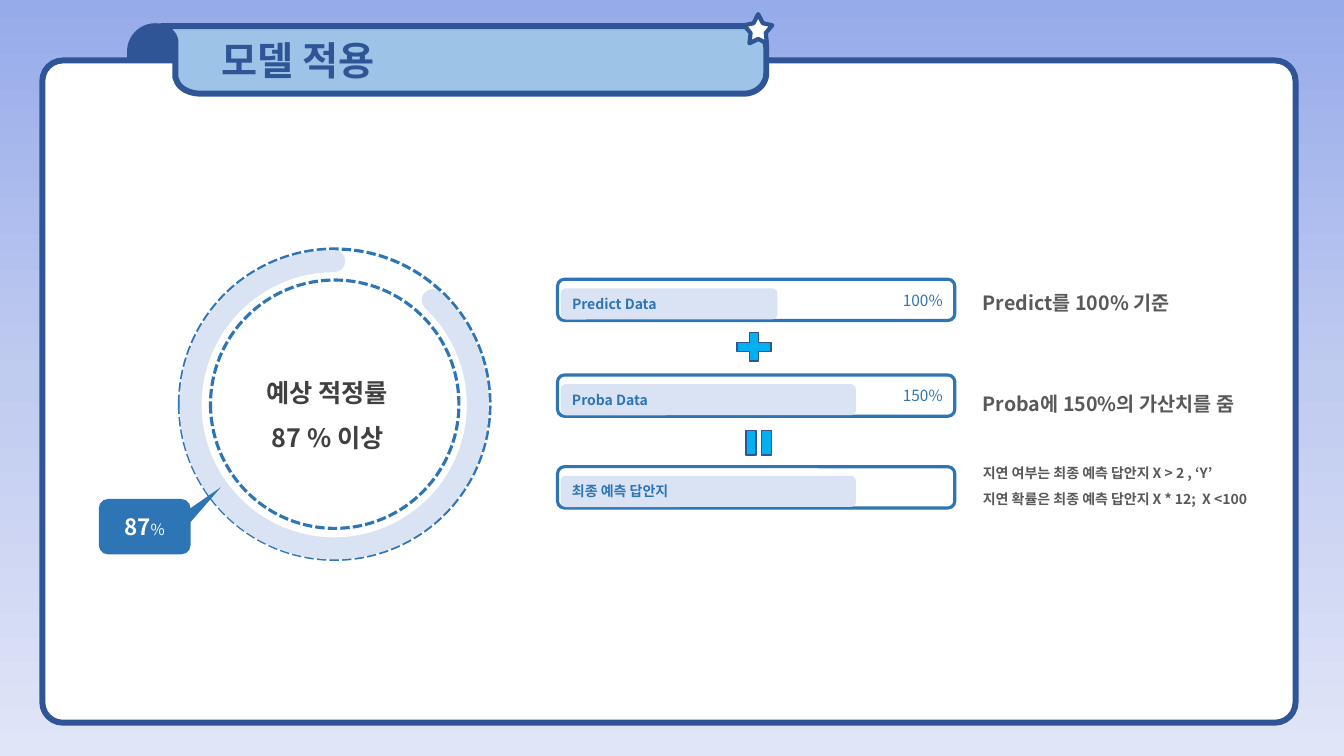
import copy
from dataclasses import dataclass

import lxml.etree
import pptx
import pptx.dml.color
import pptx.enum.dml
import pptx.enum.shapes
import pptx.enum.text
import pptx.oxml.ns
import pptx.util

Inches = pptx.util.Inches
SHAPE = pptx.enum.shapes.MSO_SHAPE
ALIGN = pptx.enum.text.PP_ALIGN
ANCHOR = pptx.enum.text.MSO_ANCHOR
FIT = pptx.enum.text.MSO_AUTO_SIZE


@dataclass(frozen=True)
class Theme:
    """Hold the colours, font and type sizes of the slide."""
    font: str = "Noto Sans CJK KR"
    sky: tuple = ((0, "96ABEA"), (0.5, "C0CBF0"), (1, "E0E5F7"))
    navy: str = "2F5597"
    ribbon: str = "9DC3E6"
    blue: str = "2E75B6"
    pale: str = "DAE3F3"
    cyan: str = "00B0F0"
    sign_edge: str = "325491"
    white: str = "FFFFFF"
    dark: str = "404040"
    grey: str = "595959"
    title: float = 28
    headline: float = 18
    callout: float = 16
    note: float = 14
    value: float = 11
    label: float = 10
    frame_line: float = 4.25
    line: float = 2.25


THEME = Theme()


def rgb(colour):
    """Turn a hex string into a colour."""
    return pptx.dml.color.RGBColor.from_string(colour)


def paint(shape, fill=None, line=None, width=THEME.line):
    """Set the fill and outline of a shape and remove its shadow."""
    shape.shadow.inherit = False
    if fill:
        shape.fill.solid()
        shape.fill.fore_color.rgb = rgb(fill)
    else:
        shape.fill.background()
    if line:
        shape.line.color.rgb = rgb(line)
        shape.line.width = pptx.util.Pt(width)
    else:
        shape.line.fill.background()
    return shape


def add_preset(slide, kind, box, adjust=(), **style):
    """Add a painted preset shape."""
    shape = slide.shapes.add_shape(kind, *map(Inches, box))
    for index, amount in enumerate(adjust):
        shape.adjustments[index] = amount
    return paint(shape, **style)


def write(shape, paragraphs, align=ALIGN.LEFT, spacing=None, level=0):
    """Write paragraphs of (text, size, colour, bold) runs into a shape."""
    frame = shape.text_frame
    for index, runs in enumerate(paragraphs):
        paragraph = frame.paragraphs[0] if index == 0 else frame.add_paragraph()
        paragraph.alignment = align
        paragraph.level = level
        if spacing:
            paragraph.line_spacing = spacing
        for text, size, colour, bold in runs:
            run = paragraph.add_run()
            run.text = text
            run.font.name = THEME.font
            run.font.size = pptx.util.Pt(size)
            run.font.bold = bold
            run.font.color.rgb = rgb(colour)
            east_asian = lxml.etree.SubElement(
                run.font._element, pptx.oxml.ns.qn("a:ea"))
            east_asian.set("typeface", THEME.font)


def add_text(slide, box, lines, size, colour, wrap=True):
    """Add a bold text box with one paragraph per line."""
    textbox = slide.shapes.add_textbox(*map(Inches, box))
    textbox.text_frame.word_wrap = wrap
    textbox.text_frame.auto_size = FIT.SHAPE_TO_FIT_TEXT
    write(textbox, [[(line, size, colour, True)] for line in lines], spacing=1.5)


def curve(start, control_a, control_b, end, steps=10):
    """Return points along a cubic curve, without its start."""
    points = []
    for step in range(1, steps + 1):
        t = step / steps
        weights = ((1 - t) ** 3, 3 * t * (1 - t) ** 2, 3 * t * t * (1 - t), t ** 3)
        points.append(tuple(
            sum(w * p for w, p in zip(weights, axis))
            for axis in zip(start, control_a, control_b, end)))
    return points


def add_background(slide):
    """Fill the background with a vertical three-stop gradient."""
    fill = slide.background.fill
    fill.gradient()
    fill.gradient_angle = 270
    first = slide._element.find(".//" + pptx.oxml.ns.qn("a:gs"))
    first.addnext(copy.deepcopy(first))
    for stop, (position, colour) in zip(fill.gradient_stops, THEME.sky):
        stop.position = position
        stop.color.rgb = rgb(colour)


def add_title_ribbon(slide, title):
    """Add the curled title ribbon and its star."""
    outline = [
        (7.38, 0.26),
        *curve((7.38, 0.26), (7.5, 0.26), (7.6, 0.35), (7.6, 0.47)),
        (7.6, 0.73),
        *curve((7.6, 0.73), (7.6, 0.84), (7.5, 0.93), (7.38, 0.93)),
        (2, 0.93),
        *curve((2, 0.93), (1.89, 0.93), (1.8, 0.89), (1.76, 0.82)),
        (1.74, 0.77), (1.74, 0.42),
        *curve((1.74, 0.42), (1.74, 0.36), (1.7, 0.31), (1.64, 0.28)),
        (1.6, 0.27),
    ]
    builder = slide.shapes.build_freeform(Inches(1.6), Inches(0.26))
    builder.add_line_segments([(Inches(x), Inches(y)) for x, y in outline], close=True)
    ribbon = paint(builder.convert_to_shape(), THEME.ribbon, THEME.navy, THEME.frame_line)
    ribbon.text_frame.vertical_anchor = ANCHOR.MIDDLE
    write(ribbon, [[(title, THEME.title, THEME.navy, True)]], level=1)
    add_preset(slide, SHAPE.STAR_5_POINT, (7.38, 0.14, 0.28, 0.29), (0.269, 1.051, 1.106),
               fill=THEME.white, line=THEME.navy, width=3)


def add_gauge(slide):
    """Add the dashed ring, its progress arc, headline and callout."""
    ring = add_preset(slide, SHAPE.DONUT, (1.78, 2.47, 3.08, 3.08), (0.1,), line=THEME.blue)
    ring.line.dash_style = pptx.enum.dml.MSO_LINE.SQUARE_DOT
    progress = add_preset(slide, SHAPE.ARC, (1.89, 2.59, 2.85, 2.85), (187.965, 162),
                          line=THEME.pale, width=15.75)
    progress.line._get_or_add_ln().set("cap", "rnd")
    add_text(slide, (2.54, 3.54, 1.52, 1.01), ("예상 적정률", " 87 % 이상"),
             THEME.headline, THEME.dark, wrap=False)
    callout = add_preset(slide, SHAPE.ROUNDED_RECTANGULAR_CALLOUT, (0.98, 4.95, 0.91, 0.55),
                         (0.832, -0.714, 0.167), fill=THEME.blue)
    write(callout, [[("87", THEME.callout, THEME.white, True),
                     ("%", THEME.value, THEME.white, False)]], ALIGN.CENTER)


def add_bar(slide, top, label, length, value):
    """Add one labelled bar inside its outlined track."""
    track = add_preset(slide, SHAPE.ROUNDED_RECTANGLE, (5.53, top, 3.94, 0.41),
                       line=THEME.blue)
    if value:
        write(track, [[(value, THEME.value, THEME.blue, False)]], ALIGN.RIGHT)
    bar = add_preset(slide, SHAPE.ROUNDED_RECTANGLE, (5.56, top + 0.09, length, 0.31),
                     fill=THEME.pale)
    write(bar, [[(label, THEME.label, THEME.blue, True)]])


def add_sign(slide, kind, box, rotation=0):
    """Add an arithmetic sign between bars."""
    sign = add_preset(slide, kind, box, fill=THEME.cyan, line=THEME.sign_edge, width=1)
    sign.rotation = rotation


def main():
    """Build the slide and save it."""
    deck = pptx.Presentation()
    deck.slide_width, deck.slide_height = Inches(13.33), Inches(7.5)
    slide = deck.slides.add_slide(deck.slide_layouts[6])
    add_background(slide)
    frame = {"line": THEME.navy, "width": THEME.frame_line}
    add_preset(slide, SHAPE.ROUND_2_SAME_RECTANGLE, (1.29, 0.26, 0.5, 0.98), (0.5, 0),
               fill=THEME.navy, **frame)
    add_preset(slide, SHAPE.ROUNDED_RECTANGLE, (0.42, 0.6, 12.43, 6.57), (0.031,),
               fill=THEME.white, **frame)
    add_title_ribbon(slide, "모델 적용")
    add_gauge(slide)
    for bar in ((2.77, "Predict Data", 2.15, "100%"),
                (3.72, "Proba Data", 2.93, "150%"),
                (4.63, "최종 예측 답안지", 2.93, None)):
        add_bar(slide, *bar)
    for top, width, height, size, lines in (
            (4.48, 3.55, 0.61, THEME.label, ("지연 여부는 최종 예측 답안지 X > 2 , ‘Y’",
                                             "지연 확률은 최종 예측 답안지 X * 12;  X <100")),
            (2.72, 2.83, 0.45, THEME.note, ("Predict를 100% 기준",)),
            (3.72, 3.74, 0.41, THEME.note, ("Proba에 150%의 가산치를 줌",))):
        add_text(slide, (9.65, top, width, height), lines, size, THEME.grey)
    add_sign(slide, SHAPE.MATH_PLUS, (7.25, 3.25, 0.46, 0.38))
    add_sign(slide, SHAPE.MATH_EQUAL, (7.36, 4.18, 0.33, 0.43), rotation=90)
    deck.save("out.pptx")


main()
